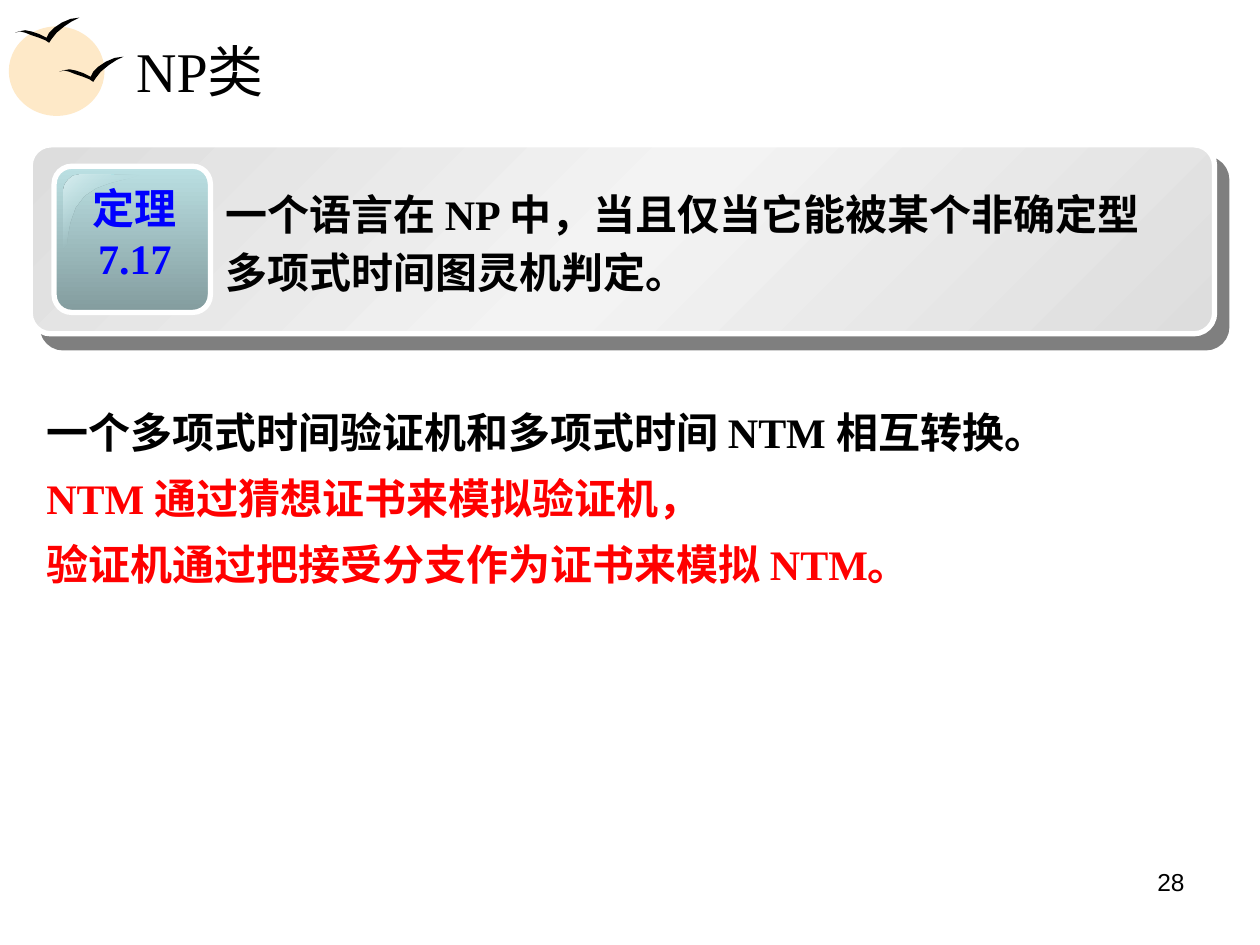
from dataclasses import dataclass
from lxml import etree
from pptx import Presentation
from pptx import util as u
from pptx.dml.color import RGBColor
from pptx.enum import shapes, text
from pptx.oxml.ns import qn

CELL = 0.1  # the slide is a grid of 100 columns by 75 rows


@dataclass(frozen=True)
class Theme:
    serif: str = "Times New Roman"
    sans: str = "Arial"
    title: int = 32
    body: int = 24
    number: int = 14
    ink: str = "000000"
    label: str = "0000FF"
    accent: str = "FF0000"
    white: str = "FFFFFF"
    sun: str = "FEE9C8"
    panel: tuple = ((0, "DDDDDD", 100), (50, "F3F3F3", 100), (100, "DDDDDD", 100))
    badge: tuple = ((0, "BBE0E3", 100), (100, "839C9E", 100))
    gloss: tuple = ((0, "DAEEF0", 100), (50, "BBE0E3", 0), (100, "DAEEF0", 100))


THEME = Theme()


@dataclass(frozen=True)
class Box:
    left: float
    top: float
    width: float
    height: float

    def inner(self, column, row, width, height):
        return Box(self.left + column, self.top + row, width, height)

    def place(self):
        return [u.Inches(n * CELL) for n in (self.left, self.top, self.width, self.height)]


def paint(shape, color):
    shape.shadow.inherit = False
    shape.fill.solid()
    shape.fill.fore_color.rgb = RGBColor.from_string(color)
    shape.line.fill.background()


def paint_gradient(shape, stops, angle):
    shape.shadow.inherit = False
    shape.fill.gradient()
    gradient = shape.element.spPr.find(qn("a:gradFill"))
    for child in list(gradient):
        gradient.remove(child)
    stop_list = etree.SubElement(gradient, qn("a:gsLst"))
    for position, color, opacity in stops:
        stop = etree.SubElement(stop_list, qn("a:gs"), pos=str(position * 1000))
        tone = etree.SubElement(stop, qn("a:srgbClr"), val=color)
        if opacity < 100:
            etree.SubElement(tone, qn("a:alpha"), val=str(opacity * 1000))
    etree.SubElement(gradient, qn("a:lin"), ang=str(angle * 60000), scaled="0")


def cast_shadow(shape, distance, angle, opacity):
    effects = shape.element.spPr.find(qn("a:effectLst"))
    shadow = etree.SubElement(
        effects, qn("a:outerShdw"), blurRad="0", dist=str(int(u.Pt(distance))),
        dir=str(angle * 60000), algn="ctr", rotWithShape="0")
    tone = etree.SubElement(shadow, qn("a:srgbClr"), val=THEME.ink)
    etree.SubElement(tone, qn("a:alpha"), val=str(opacity * 1000))


def add_outline(parent, points, box):
    """Close a shape through points given in hundredths of an inch."""
    builder = parent.build_freeform(*points[0], scale=u.Inches(0.01))
    builder.add_line_segments(points[1:], close=True)
    left, top, _, _ = box.place()
    return builder.convert_to_shape(left, top)


def write(frame, lines, size, font=THEME.serif, bold=True,
          align=text.PP_ALIGN.LEFT, spacing=None, gap=0):
    """Fill a text frame with one paragraph per (wording, colour)."""
    frame.word_wrap = True
    for index, (wording, color) in enumerate(lines):
        para = frame.paragraphs[0] if index == 0 else frame.add_paragraph()
        para.alignment = align
        if spacing:
            para.line_spacing = spacing
        if index and gap:
            para.space_before = u.Pt(gap)
        span = para.add_run()
        span.text = wording
        span.font.name = font
        span.font.size = u.Pt(size)
        span.font.bold = bold
        span.font.color.rgb = RGBColor.from_string(color)


def add_text(parent, box, lines, size, **style):
    write(parent.add_textbox(*box.place()).text_frame, lines, size, **style)


def add_emblem(page, box):
    # Sun
    sun = page.shapes.add_shape(shapes.MSO_SHAPE.OVAL, *box.inner(0, 0.7, 7.6, 7.1).place())
    paint(sun, THEME.sun)
    # Two birds with the same outline
    bird = [(0, 12), (3, 11), (8, 10), (13, 11), (19, 13), (25, 16), (27, 12), (31, 8),
            (37, 4), (44, 1), (51, 0), (45, 3), (39, 7), (33, 12), (29, 17), (27, 20),
            (24, 18), (19, 16), (13, 14), (8, 12), (4, 11)]
    for column, row in ((4, 3.1), (0.5, 0)):
        paint(add_outline(page.shapes, bird, box.inner(column, row, 5.1, 2)), THEME.ink)


def add_title(page, box, wording):
    title = page.shapes.title
    title.left, title.top, title.width, title.height = box.place()
    frame = title.text_frame
    frame.auto_size = text.MSO_AUTO_SIZE.NONE
    frame.vertical_anchor = text.MSO_ANCHOR.MIDDLE
    write(frame, [(wording, THEME.ink)], THEME.title, bold=False)


def add_theorem(page, box, label, statement):
    group = page.shapes.add_group_shape().shapes
    badge_box = box.inner(1.9, 1.7, 12.4, 11.6)
    # Panel and badge
    plates = []
    for area, corner, stops, angle in ((box, 0.11, THEME.panel, 45),
                                       (badge_box, 0.12, THEME.badge, 90)):
        plate = group.add_shape(shapes.MSO_SHAPE.ROUNDED_RECTANGLE, *area.place())
        plate.adjustments[0] = corner
        paint_gradient(plate, stops, angle)
        plate.line.color.rgb = RGBColor.from_string(THEME.white)
        plate.line.width = u.Pt(3)
        plates.append(plate)
    cast_shadow(plates[0], 10.6, 49, 50)
    # Gloss on the badge corner
    gloss = [(13, 0), (8, 1), (4, 4), (1, 8), (0, 12), (0, 58), (3, 55), (4, 47), (6, 37),
             (10, 26), (17, 17), (26, 11), (37, 7), (49, 4), (58, 2), (61, 0)]
    shine = add_outline(group, gloss, badge_box.inner(0.7, 0.7, 6.1, 5.8))
    paint_gradient(shine, THEME.gloss, 45)
    shine.line.fill.background()
    # Label and statement
    add_text(group, badge_box.inner(1.7, 0.8, 9.4, 9), [(line, THEME.label) for line in label],
             THEME.body, align=text.PP_ALIGN.CENTER)
    add_text(group, box.inner(14.5, 2.4, 75.6, 10.2), [(statement, THEME.ink)],
             THEME.body, spacing=1.15)


def main():
    deck = Presentation()
    deck.slide_width, deck.slide_height = u.Inches(10), u.Inches(7.5)
    page = deck.slides.add_slide(deck.slide_layouts[5])

    add_emblem(page, Box(0.7, 1.4, 9.1, 7.8))
    add_title(page, Box(9.8, 2.1, 85.3, 6.9), "NP类")
    add_theorem(page, Box(2.4, 11.5, 94, 15), ["定理", "7.17"],
                "一个语言在 NP 中，当且仅当它能被某个非确定型多项式时间图灵机判定。")
    # Explanation
    add_text(page.shapes, Box(2.7, 31.2, 93.7, 16.1), [
        ("一个多项式时间验证机和多项式时间 NTM 相互转换。", THEME.ink),
        ("NTM 通过猜想证书来模拟验证机，", THEME.accent),
        ("验证机通过把接受分支作为证书来模拟 NTM。", THEME.accent),
    ], THEME.body, spacing=1.15, gap=4.5)
    # Page number
    add_text(page.shapes, Box(71.7, 68.3, 23.3, 5.2), [("28", THEME.ink)], THEME.number,
             font=THEME.sans, bold=False, align=text.PP_ALIGN.RIGHT)

    deck.save("out.pptx")


if __name__ == "__main__":
    main()
